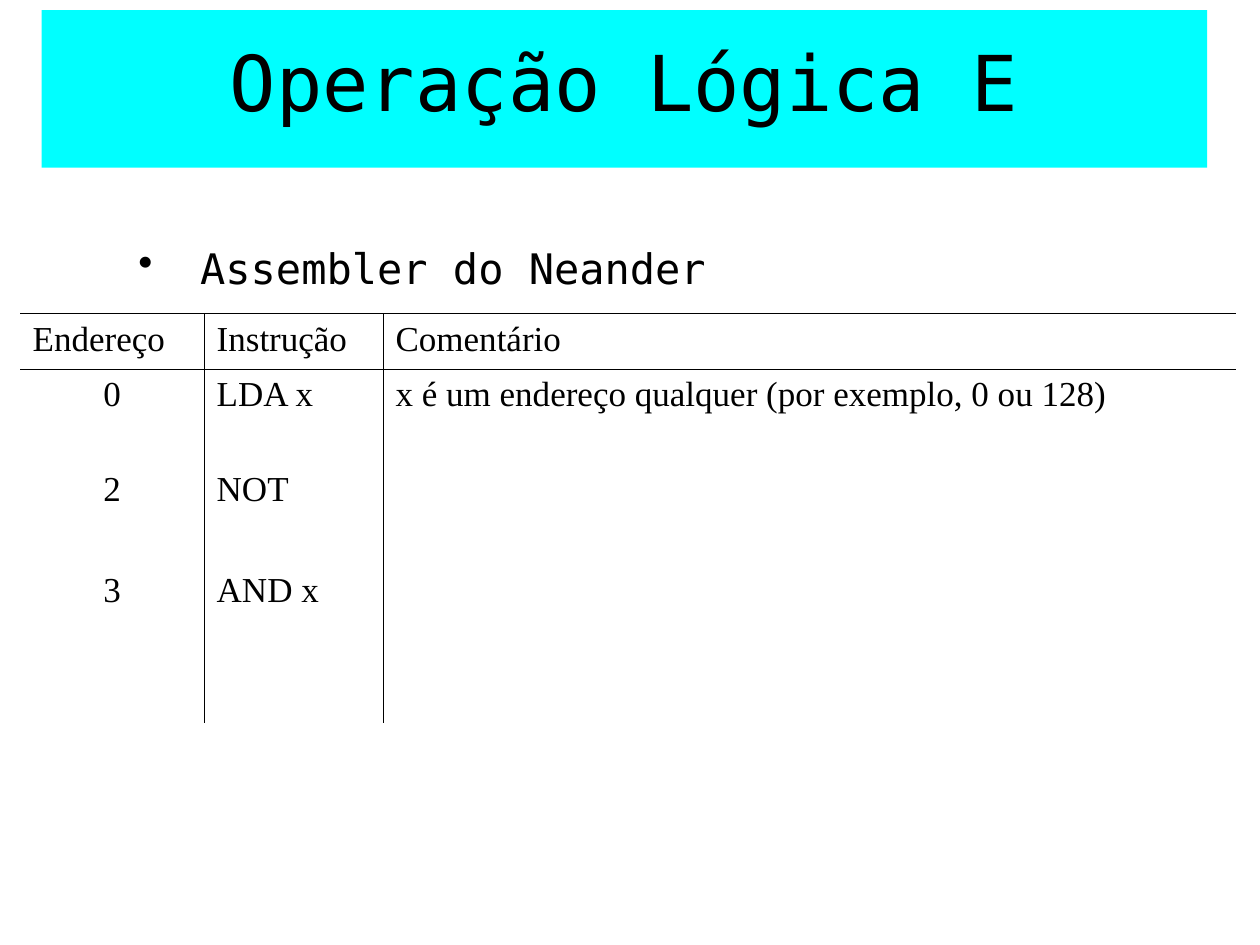
from dataclasses import dataclass

from lxml.etree import SubElement
from pptx import Presentation
from pptx.dml.color import RGBColor
from pptx.enum.shapes import MSO_SHAPE as Shape
from pptx.enum.text import MSO_ANCHOR as Anchor, PP_ALIGN as Align
from pptx.oxml.ns import qn
from pptx.util import Inches, Pt


@dataclass(frozen=True)
class Theme:
    ink: str = "000000"
    banner: str = "00FFFF"
    mono: str = "DejaVu Sans Mono"
    serif: str = "Times New Roman"
    title_size: int = 44
    bullet_size: int = 24
    cell_size: int = 20
    border_width: float = 0.45


class SlideBuilder:
    def __init__(self, presentation, theme):
        self.presentation = presentation
        self.theme = theme
        self.slide = presentation.slides.add_slide(presentation.slide_layouts[6])

    def across(self, percent):
        return round(self.presentation.slide_width * percent / 100)

    def down(self, percent):
        return round(self.presentation.slide_height * percent / 100)

    def box(self, left, top, width, height):
        return self.across(left), self.down(top), self.across(width), self.down(height)

    def set_text(self, text_frame, text, font_name, size, align):
        text_frame.text = text
        paragraph = text_frame.paragraphs[0]
        paragraph.alignment = align
        for run in paragraph.runs:
            run.font.name = font_name
            run.font.size = Pt(size)
            run.font.color.rgb = RGBColor.from_string(self.theme.ink)
        return paragraph

    def title(self, text, *area):
        shape = self.slide.shapes.add_shape(Shape.RECTANGLE, *self.box(*area))
        shape.shadow.inherit = False
        shape.fill.solid()
        shape.fill.fore_color.rgb = RGBColor.from_string(self.theme.banner)
        shape.line.fill.background()
        shape.text_frame.word_wrap = True
        shape.text_frame.vertical_anchor = Anchor.MIDDLE
        paragraph = self.set_text(shape.text_frame, text, self.theme.mono,
                                  self.theme.title_size, Align.CENTER)
        paragraph.line_spacing = 0.8

    def bullet(self, text, *area):
        text_frame = self.slide.shapes.add_textbox(*self.box(*area)).text_frame
        text_frame.word_wrap = True
        paragraph = self.set_text(text_frame, text, self.theme.mono,
                                  self.theme.bullet_size, Align.LEFT)
        properties = paragraph._p.get_or_add_pPr()
        indent = Inches(0.49)
        properties.set("marL", str(indent))
        properties.set("indent", str(-indent))
        SubElement(properties, qn("a:buChar")).set("char", "•")

    def borders(self, cell, visible_sides):
        properties = cell._tc.get_or_add_tcPr()
        for side in "LRTB":
            line = SubElement(properties, qn(f"a:ln{side}"))
            line.set("w", str(Pt(self.theme.border_width)))
            if side in visible_sides:
                fill = SubElement(line, qn("a:solidFill"))
                SubElement(fill, qn("a:srgbClr")).set("val", self.theme.ink)
            else:
                SubElement(line, qn("a:noFill"))

    def table(self, rows, left, top, widths, heights, lowered_rows):
        area = self.box(left, top, sum(widths), sum(heights))
        table = self.slide.shapes.add_table(len(rows), len(widths), *area).table
        table.first_row = table.horz_banding = False
        for column, width in zip(table.columns, widths):
            column.width = self.across(width)
        for row, height in zip(table.rows, heights):
            row.height = self.down(height)
        last_column = len(widths) - 1
        for row_index, texts in enumerate(rows):
            for column_index, text in enumerate(texts):
                cell = table.cell(row_index, column_index)
                sides = {0: "TB", 1: "T"}.get(row_index, "")
                sides += "L" if column_index > 0 else ""
                sides += "R" if column_index < last_column else ""
                self.borders(cell, sides)
                cell.fill.background()
                if row_index in lowered_rows:
                    cell.margin_top = Inches(0.36)
                centred = row_index > 0 and column_index == 0
                self.set_text(cell.text_frame, text, self.theme.serif, self.theme.cell_size,
                              Align.CENTER if centred else Align.JUSTIFY)


def main():
    presentation = Presentation()
    presentation.slide_width = Inches(10)
    presentation.slide_height = Inches(7.5)
    builder = SlideBuilder(presentation, Theme())
    builder.title("Operação Lógica E", 3.3, 1.07, 92.5, 16.67)
    builder.bullet("Assembler do Neander", 10, 25, 80.8, 6.67)
    program = [
        ("Endereço", "Instrução", "Comentário"),
        ("0", "LDA x", "x é um endereço qualquer (por exemplo, 0 ou 128)"),
        ("2", "NOT", ""),
        ("3", "AND x", ""),
        ("", "", ""),
    ]
    builder.table(program, left=1.6, top=33.2, widths=(14.6, 14.2, 67.7),
                  heights=(5.87, 5.87, 10.67, 10.27, 10.67), lowered_rows=(2, 3))
    presentation.save("out.pptx")


if __name__ == "__main__":
    main()
